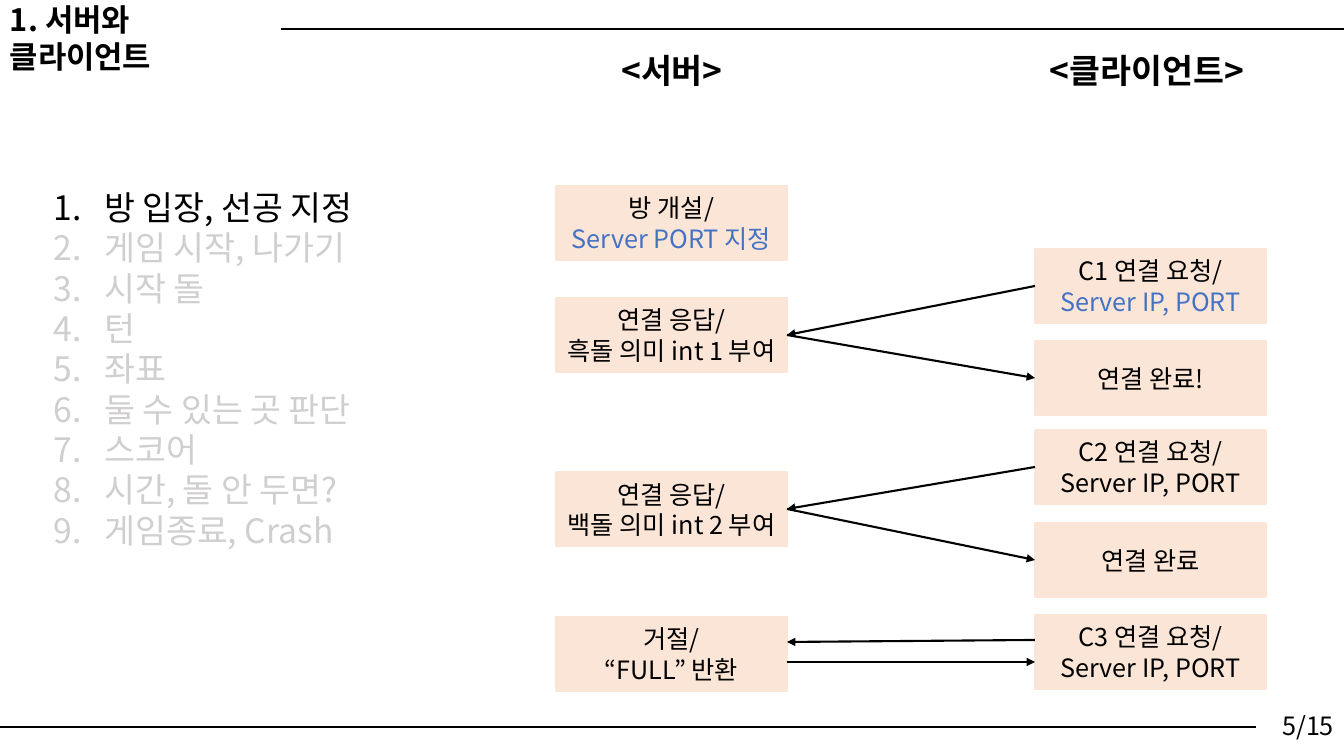
"""Build the server and client connection slide."""
from pptx import Presentation
from pptx.dml.color import RGBColor
from pptx.enum.shapes import MSO_CONNECTOR as LINE, MSO_SHAPE as SHAPE
from pptx.enum.text import MSO_ANCHOR as ANCHOR, MSO_AUTO_SIZE as AUTO, PP_ALIGN as ALIGN
from pptx.oxml.ns import qn
from pptx.util import Pt
from lxml.etree import SubElement

FONT = "Noto Sans CJK KR"
BLACK, WHITE, GREY, BLUE, PEACH = "000000", "FFFFFF", "D0CECE", "4472C4", "FBE5D6"
EMU_PER_PX = 914400 / 100.8
WIDTH, HEIGHT = 1344, 756
BOX_W, BOX_H = 231, 74
HEAD_W, HEAD_TOP, HEAD_H = 304, 33, 75
COLUMN_X = {"server": 556, "client": 1035}

RULES_Y = [29, 727]
TITLE = "1. 서버와 클라이언트"
PAGE = "5/15"
TOPICS = ["방 입장, 선공 지정", "게임 시작, 나가기", "시작 돌", "턴", "좌표",
          "둘 수 있는 곳 판단", "스코어", "시간, 돌 안 두면?", "게임종료, Crash"]
HEADINGS = [("<서버>", 520), ("<클라이언트>", 995)]
BOXES = {
    "open": ("server", 186, [("방 개설/", BLACK), ("Server PORT 지정", BLUE)]),
    "c1": ("client", 249, [("C1 연결 요청/", BLACK), ("Server IP, PORT", BLUE)]),
    "black": ("server", 298, [("연결 응답/", BLACK), ("흑돌 의미 int 1 부여", BLACK)]),
    "c1 done": ("client", 341, [("연결 완료!", BLACK)]),
    "c2": ("client", 430, [("C2 연결 요청/", BLACK), ("Server IP, PORT", BLACK)]),
    "white": ("server", 472, [("연결 응답/", BLACK), ("백돌 의미 int 2 부여", BLACK)]),
    "c2 done": ("client", 523, [("연결 완료", BLACK)]),
    "full": ("server", 617, [("거절/", BLACK), ("“FULL” 반환", BLACK)]),
    "c3": ("client", 615, [("C3 연결 요청/", BLACK), ("Server IP, PORT", BLACK)]),
}
JOINED = [("c1", "black"), ("black", "c1 done"), ("c2", "white"), ("white", "c2 done")]
SERVER_EDGE, CLIENT_EDGE = COLUMN_X["server"] + BOX_W, COLUMN_X["client"]
REFUSAL = [(CLIENT_EDGE, 640, SERVER_EDGE, 642), (SERVER_EDGE, 662, CLIENT_EDGE, 662)]
SIDE = {"server": 3, "client": 1}


def px(*lengths):
    return [round(v * EMU_PER_PX) for v in lengths]


def rgb(color):
    return RGBColor.from_string(color)


def write(sp, lines, size=18, bold=False, align=ALIGN.CENTER, anchor=ANCHOR.MIDDLE, numbered=False):
    tf = sp.text_frame
    tf.word_wrap = True
    tf.vertical_anchor = anchor
    for i, (text, color) in enumerate(lines):
        p = tf.add_paragraph() if i else tf.paragraphs[0]
        p.alignment = align
        if numbered:
            pPr = p._p.get_or_add_pPr()
            pPr.set("marL", "457200")
            pPr.set("indent", "-457200")
            SubElement(pPr, qn("a:buFont"), typeface="+mj-lt")
            SubElement(pPr, qn("a:buAutoNum"), type="arabicPeriod")
        r = p.add_run()
        r.text = text
        r.font.size, r.font.bold, r.font.name = Pt(size), bold, FONT
        r.font.color.rgb = rgb(color)
        SubElement(r._r.get_or_add_rPr(), qn("a:ea"), typeface=FONT)


def add_box(s, x, y, w, h, color):
    sp = s.shapes.add_shape(SHAPE.RECTANGLE, *px(x, y, w, h))
    sp.shadow.inherit = False
    sp.fill.solid()
    sp.fill.fore_color.rgb = sp.line.color.rgb = rgb(color)
    sp.line.width = Pt(1)
    return sp


def add_line(s, x1, y1, x2, y2, width=1.5, arrow=True):
    line = s.shapes.add_connector(LINE.STRAIGHT, *px(x1, y1, x2, y2))
    line.line.color.rgb = rgb(BLACK)
    line.line.width = Pt(width)
    if arrow:
        SubElement(line.line._get_or_add_ln(), qn("a:tailEnd"), type="triangle")
    SubElement(line._element.spPr, qn("a:effectLst"))
    return line


def main():
    prs = Presentation()
    prs.slide_width, prs.slide_height = px(WIDTH, HEIGHT)
    s = prs.slides.add_slide(prs.slide_layouts[6])

    for y in RULES_Y:
        add_line(s, 0, y, WIDTH, y, width=2, arrow=False)
    write(add_box(s, 1257, 695, 87, 61, WHITE), [(PAGE, BLACK)], align=ALIGN.RIGHT)
    write(add_box(s, 0, 0, 280, 75, WHITE), [(TITLE, BLACK)], size=22, bold=True, align=ALIGN.LEFT)

    topics = s.shapes.add_textbox(*px(44, 182, 471, 377))
    write(topics, [(t, GREY if i else BLACK) for i, t in enumerate(TOPICS)],
          size=24, align=ALIGN.LEFT, anchor=ANCHOR.TOP, numbered=True)
    topics.text_frame.auto_size = AUTO.SHAPE_TO_FIT_TEXT

    for text, x in HEADINGS:
        write(s.shapes.add_textbox(*px(x, HEAD_TOP, HEAD_W, HEAD_H)), [(text, BLACK)], size=24, bold=True)

    shapes = {}
    for name, (column, y, lines) in BOXES.items():
        shapes[name] = add_box(s, COLUMN_X[column], y, BOX_W, BOX_H, PEACH)
        write(shapes[name], lines)

    for start, end in JOINED:
        line = add_line(s, 0, 0, 0, 0)
        line.begin_connect(shapes[start], SIDE[BOXES[start][0]])
        line.end_connect(shapes[end], SIDE[BOXES[end][0]])
    for ends in REFUSAL:
        add_line(s, *ends)

    prs.save("out.pptx")


if __name__ == "__main__":
    main()
